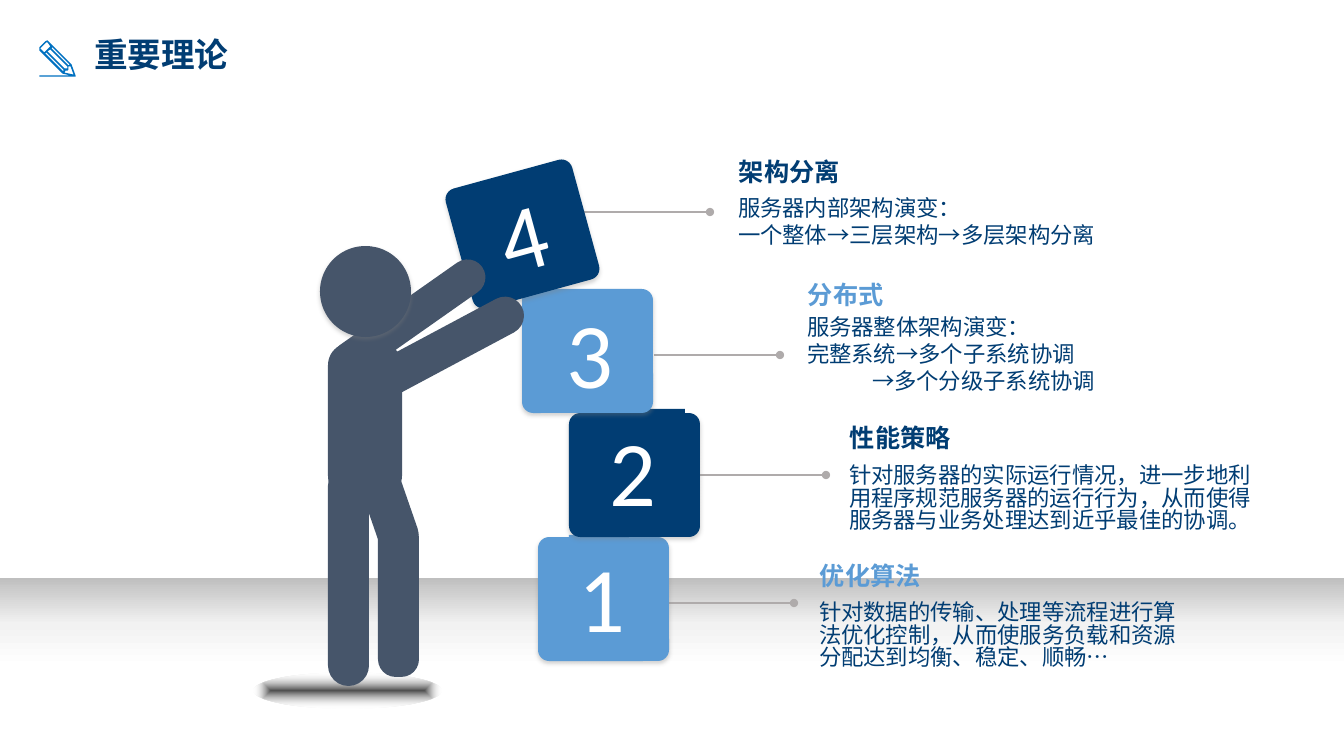
from dataclasses import dataclass

from pptx import Presentation
from pptx.dml.color import RGBColor
from pptx.enum.shapes import MSO_CONNECTOR, MSO_SHAPE
from pptx.enum.text import MSO_ANCHOR, MSO_AUTO_SIZE, PP_ALIGN
from pptx.oxml import parse_xml
from pptx.oxml.ns import nsdecls, qn
from pptx.util import Emu, Pt

PX = 12192000 / 1344
RECT, ROUND, OVAL = MSO_SHAPE.RECTANGLE, MSO_SHAPE.ROUNDED_RECTANGLE, MSO_SHAPE.OVAL
STRAIGHT = MSO_CONNECTOR.STRAIGHT
TOP, LEFT, NO_FIT = MSO_ANCHOR.TOP, PP_ALIGN.LEFT, MSO_AUTO_SIZE.NONE


@dataclass(frozen=True)
class Theme:
    """Colours, fonts and type sizes."""
    navy: str = "013D73"
    blue: str = "5B9BD5"
    figure: str = "46556A"
    leader: str = "AFABAB"
    icon: str = "0071C1"
    white: str = "FFFFFF"
    shadow: str = "808080"
    cjk: str = "Noto Sans CJK SC"
    latin: str = "Calibri"
    title: int = 24
    heading: int = 18
    body: int = 16
    digit: int = 66


@dataclass(frozen=True)
class Topic:
    """One numbered block with its leader line and text."""
    digit: str
    color: str
    block: tuple
    label: tuple
    leader: tuple
    heading: str
    heading_y: int
    body: tuple
    lines: tuple
    angle: float = 0


T = Theme()
LEADER_LENGTH = 126
CONTINUATION_INDENT = 65

TOPICS = (
    Topic("1", T.blue, (538, 537), (569, 535), (668, 603), "优化算法", 559,
          (806, 596, 395, 104),
          ("针对数据的传输、处理等流程进行算法优化控制，从而使服务负载和资源分配达到均衡、稳定、顺畅…",)),
    Topic("2", T.navy, (569, 413), (600, 409), (700, 475), "性能策略", 421,
          (836, 459, 438, 98),
          ("针对服务器的实际运行情况，进一步地利用程序规范服务器的运行行为，从而使得服务器与业务处理达到近乎最佳的协调。",)),
    Topic("3", T.blue, (522, 289), (557, 291), (654, 355), "分布式", 278,
          (794, 311, 353, 109),
          ("服务器整体架构演变：", "完整系统→多个子系统协调", "→多个分级子系统协调")),
    Topic("4", T.navy, (457, 172), (489, 171), (584, 212), "架构分离", 155,
          (725, 192, 421, 79),
          ("服务器内部架构演变：", "一个整体→三层架构→多层架构分离"), 344.7),
)

LIMBS = (
    ((328, 343, 74, 155), 0.3, 0),
    ((328, 465, 41, 221), 0.5, 0),
    ((369, 467, 41, 86), 0.4, 340.9),
    ((430, 263, 38, 165), 0.5, 241.9),
    ((378, 520, 41, 157), 0.43, 0),
)

PENCIL_TENTHS = (
    ((756, 766), (756, 756), (716, 645), (484, 413), (474, 403), (454, 413), (393, 474),
     (393, 504), (433, 544), (625, 736), (696, 753), (393, 753), (393, 766)),
    ((736, 746), (645, 726), (655, 706), (675, 706), (685, 696), (685, 665), (706, 665)),
    ((524, 474), (696, 645), (685, 655), (514, 484)),
    ((504, 494), (675, 665), (675, 685), (645, 685), (474, 514)),
    ((403, 484), (464, 423), (474, 423), (504, 464), (444, 524)),
    ((464, 524), (635, 696), (635, 716), (454, 534)),
)


def px(*values):
    """Turn pixels into EMU."""
    return [Emu(round(v * PX)) for v in values]


def style_paragraph(p, size, color, name, bold=False, spacing=None):
    """Set the font of a paragraph for Latin and East Asian text."""
    p.alignment, p.line_spacing = LEFT, spacing
    f = p.font
    f.size, f.bold, f.name = Pt(size), bold, name
    f.color.rgb = RGBColor.from_string(color)
    p._p.pPr.find(qn("a:defRPr")).append(
        parse_xml(f'<a:ea {nsdecls("a")} typeface="{name}"/>'))


def prepare_frame(tf, inset_x=10, inset_y=5):
    """Set insets, wrapping and anchor of a text frame."""
    tf.word_wrap, tf.auto_size, tf.vertical_anchor = True, NO_FIT, TOP
    tf.margin_left, tf.margin_right, tf.margin_top, tf.margin_bottom = px(
        inset_x, inset_x, inset_y, inset_y)


def add_title(s, text):
    """Fill and place the title placeholder."""
    sp = s.shapes.title
    sp.left, sp.top, sp.width, sp.height = px(84, 33, 258, 50)
    sp.text_frame.text = text
    prepare_frame(sp.text_frame)
    style_paragraph(sp.text_frame.paragraphs[0], T.title, T.navy, T.cjk, True, 0.9)


def add_solid(s, kind, box, color, radius=None, angle=0, shadow=False):
    """Add a borderless preset shape."""
    sp = s.shapes.add_shape(kind, *px(*box))
    sp.shadow.inherit = False
    sp.fill.solid()
    sp.fill.fore_color.rgb = RGBColor.from_string(color)
    sp.line.fill.background()
    sp.rotation = angle
    if radius is not None:
        sp.adjustments[0] = radius
    if shadow:
        sp._element.spPr.find(qn("a:effectLst")).append(parse_xml(
            f'<a:outerShdw {nsdecls("a")} blurRad="{Pt(3.1)}" dist="{Pt(1.8)}" dir="5400000">'
            f'<a:srgbClr val="{T.shadow}"><a:alpha val="35000"/></a:srgbClr></a:outerShdw>'))
    return sp


def add_gradient(s, kind, box, stops, direction):
    """Add a borderless shape with a gradient of (position, colour, opacity) stops."""
    sp = add_solid(s, kind, box, T.white)
    marks = "".join(
        f'<a:gs pos="{pos * 1000}"><a:srgbClr val="{color}">'
        f'<a:alpha val="{opacity * 1000}"/></a:srgbClr></a:gs>'
        for pos, color, opacity in stops)
    spPr = sp._element.spPr
    spPr.replace(spPr.find(qn("a:solidFill")), parse_xml(
        f'<a:gradFill {nsdecls("a")} rotWithShape="1"><a:gsLst>{marks}</a:gsLst>'
        f'{direction}</a:gradFill>'))


def add_leader(s, x, y):
    """Add a horizontal line that ends in a dot."""
    line = s.shapes.add_connector(STRAIGHT, *px(x, y, x + LEADER_LENGTH, y))
    line.line.color.rgb = RGBColor.from_string(T.leader)
    line.line.width = Pt(1.5)
    line.line._get_or_add_ln().append(parse_xml(f'<a:tailEnd {nsdecls("a")} type="oval"/>'))
    line._element.spPr.append(parse_xml(f'<a:effectLst {nsdecls("a")}/>'))


def add_block(s, topic):
    """Add a numbered block."""
    add_solid(s, ROUND, (*topic.block, 131, 124), topic.color, 0.09, topic.angle, True)
    sp = add_solid(s, RECT, (*topic.label, 85, 122), topic.color, angle=topic.angle)
    tf = sp.text_frame
    tf.text = topic.digit
    prepare_frame(tf)
    style_paragraph(tf.paragraphs[0], T.digit, T.white, T.latin)


def add_text(s, box, lines, size, color, bold, spacing, insets):
    """Add a text box with one paragraph per line."""
    tf = s.shapes.add_textbox(*px(*box)).text_frame
    prepare_frame(tf, *insets)
    tf.text = "\n".join(lines)
    for p in tf.paragraphs:
        style_paragraph(p, size, color, T.cjk, bold, spacing)
        p.space_before = Pt(0 if p.text == lines[0] else size * 0.2)
        if p.text.startswith("→"):
            p._p.pPr.set("marL", str(px(CONTINUATION_INDENT)[0]))


def add_topic_text(s, topic):
    """Add the heading and description of a topic."""
    heading_box = (topic.body[0] + 4, topic.heading_y, 140, 40)
    add_text(s, heading_box, (topic.heading,), T.heading, topic.color, True, 0.9, (10, 5))
    add_text(s, topic.body, topic.lines, T.body, T.navy, False, 0.83, (13, 7))


def add_figure(s):
    """Add the person stacking the blocks and the ground shadow."""
    centre = '<a:path path="shape"><a:fillToRect l="50000" t="50000" r="50000" b="50000"/></a:path>'
    add_gradient(s, OVAL, (254, 673, 188, 35),
                 ((0, "171717", 76), (100, T.white, 0)), centre)
    add_solid(s, ROUND, (391, 229, 36, 179), T.figure, 0.5, 54.9)
    add_solid(s, OVAL, (320, 246, 91, 91), T.figure, shadow=True)
    for box, radius, angle in LIMBS:
        add_solid(s, ROUND, box, T.figure, radius, angle)


def add_pencil(s):
    """Add the pencil icon as one outline with holes."""
    outline, *holes = PENCIL_TENTHS
    fb = s.shapes.build_freeform(*outline[0], scale=PX / 10)
    fb.add_line_segments(outline[1:])
    for hole in holes:
        fb.move_to(*hole[0])
        fb.add_line_segments(hole[1:])
    sp = fb.convert_to_shape()
    sp.shadow.inherit = False
    sp.fill.solid()
    sp.fill.fore_color.rgb = RGBColor.from_string(T.icon)
    sp.line.fill.background()


def main():
    """Build and save the slide."""
    prs = Presentation()
    prs.slide_width, prs.slide_height = px(1344, 756)
    s = prs.slides.add_slide(prs.slide_layouts[5])
    add_title(s, "重要理论")
    add_gradient(s, RECT, (0, 578, 1344, 178),
                 ((0, "BFBFBF", 100), (26, "F2F2F2", 100), (50, T.white, 100), (100, T.white, 100)),
                 '<a:lin ang="5400000" scaled="0"/>')
    for topic in TOPICS:
        add_leader(s, *topic.leader)
        add_block(s, topic)
    add_figure(s)
    for topic in TOPICS:
        add_topic_text(s, topic)
    add_pencil(s)
    prs.save("out.pptx")


if __name__ == "__main__":
    main()
